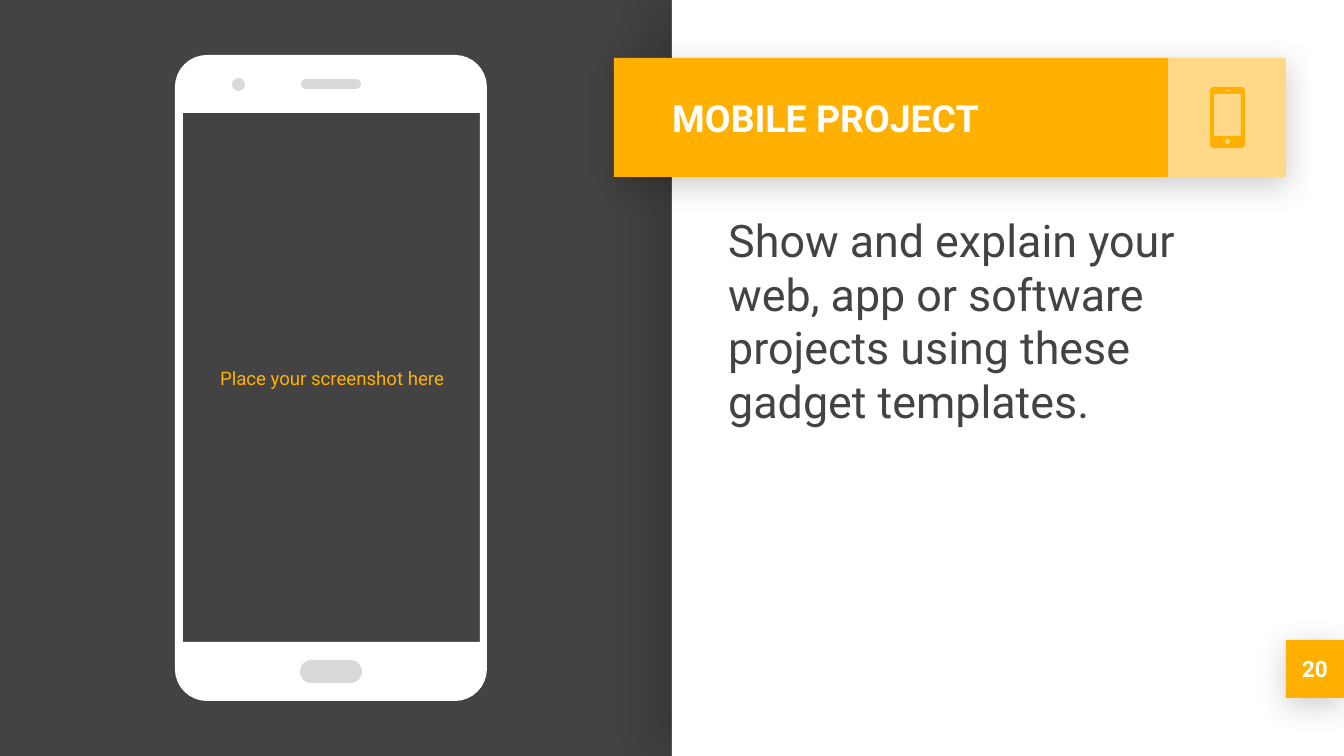
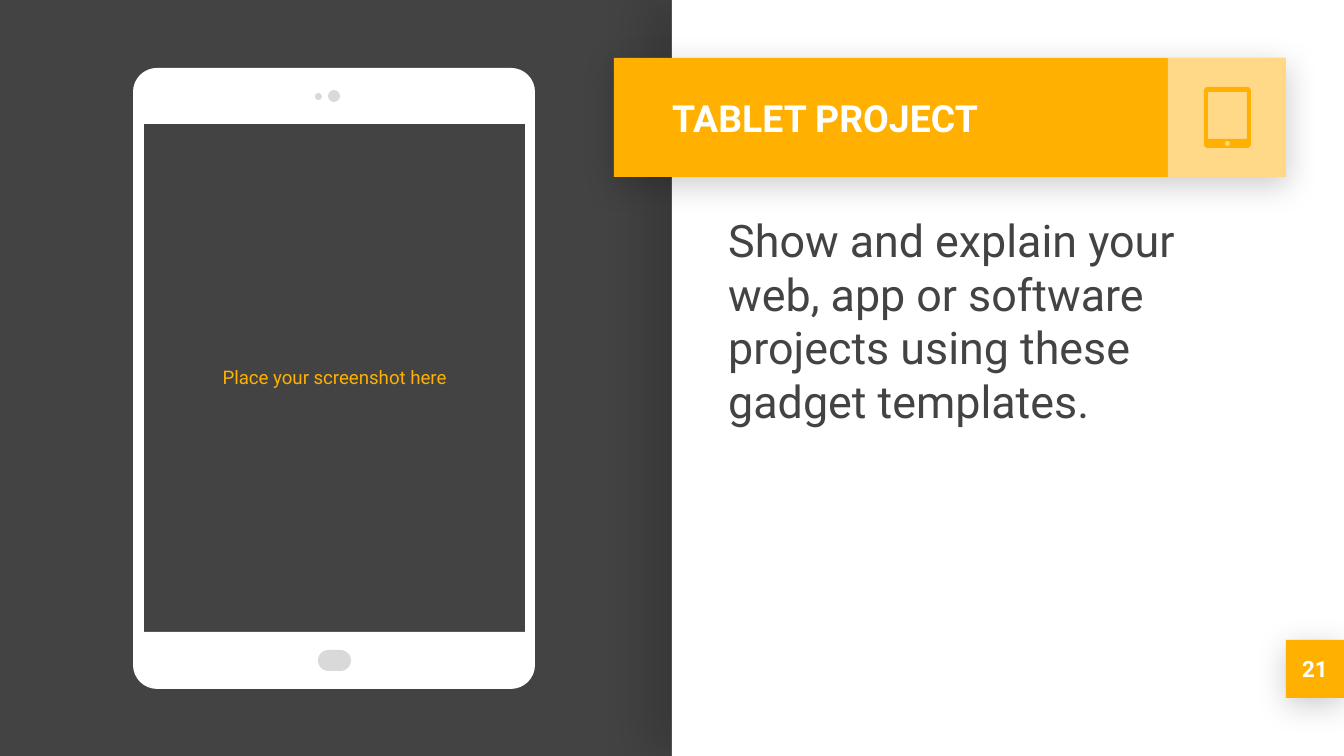
from math import cos, pi, sin

from lxml.etree import SubElement
from pptx import Presentation
from pptx.dml.color import RGBColor
from pptx.enum.shapes import MSO_SHAPE
from pptx.enum.text import MSO_ANCHOR, PP_ALIGN
from pptx.oxml.ns import qn
from pptx.util import Inches, Pt

DARK, WHITE, AMBER, GREY = "434343", "FFFFFF", "FFB000", "D9D9D9"
FONT = "Roboto"
BODY = "Show and explain your web, app or software projects using these gadget templates."
LABEL = "Place your screenshot here"

# Boxes are (left, top, width, height) in px.
PAGE_W, PAGE_H = 1344, 756
PANEL = (672, 0, 672, 756)
BAND = (614, 58, 672, 119)
ICON_TILE = (1168, 58, 118, 119)
TITLE_BOX = (659, 58, 508, 119)
BODY_BOX = (715, 199, 555, 431)
NUMBER_BOX = (1286, 640, 58, 58)

# Shadows: opacity %, blur pt, distance pt, direction in degrees.
PANEL_SHADOW = (15, 22.5, 15, 180)
BAND_SHADOW = (20, 16.9, 3.8, 90)

# Outlines are (box, corner radius); the first is the body, the others are holes.
SLIDES = [
    {
        "title": "MOBILE PROJECT",
        "number": "20",
        "device": [((175, 55, 312, 646), 32), ((183, 113, 297, 529), 0)],
        "buttons": [(300, 660, 62, 23), (232, 78, 13, 13), (301, 79, 60, 10)],
        "label_box": (184, 116, 296, 525),
        "icon": [((1210, 87, 35, 61), 4), ((1214, 94, 27, 42), 0),
                 ((1225, 139, 5, 5), 2.5), ((1225, 90, 5, 1), 0.5)],
    },
    {
        "title": "TABLET PROJECT",
        "number": "21",
        "device": [((133, 68, 402, 621), 24), ((144, 124, 381, 508), 0)],
        "buttons": [(318, 650, 33, 21), (315, 93, 7, 7), (328, 90, 12, 12)],
        "label_box": (145, 125, 379, 505),
        "icon": [((1204, 87, 47, 61), 4), ((1208, 92, 39, 47), 0),
                 ((1225, 141, 5, 5), 2.5)],
    },
]


def px(n):
    return round(n * 914400 / 134.4)


def rgb(color):
    return RGBColor.from_string(color)


def paint(sp, color):
    sp.fill.solid()
    sp.fill.fore_color.rgb = rgb(color)
    sp.line.fill.background()
    sp.shadow.inherit = False
    return sp


def add_box(shapes, box, color, kind=MSO_SHAPE.RECTANGLE):
    return paint(shapes.add_shape(kind, *map(px, box)), color)


def add_shadow(sp, opacity, blur, distance, degrees):
    effects = sp.element.spPr.find(qn("a:effectLst"))
    shadow = SubElement(effects, qn("a:outerShdw"), blurRad=str(Pt(blur)),
                        dist=str(Pt(distance)), dir=str(degrees * 60000),
                        algn="bl", rotWithShape="0")
    black = SubElement(shadow, qn("a:srgbClr"), val="000000")
    SubElement(black, qn("a:alpha"), val=str(opacity * 1000))


def set_opacity(sp, percent):
    color = sp.element.spPr.find(qn("a:solidFill"))[0]
    SubElement(color, qn("a:alpha"), val=str(percent * 1000))


def set_text(sp, text, size, color, bold=False, align=PP_ALIGN.LEFT,
             anchor=MSO_ANCHOR.MIDDLE):
    tf = sp.text_frame
    tf.word_wrap = True
    tf.vertical_anchor = anchor
    tf.margin_left = tf.margin_right = tf.margin_top = tf.margin_bottom = Inches(0.1)
    p = tf.paragraphs[0]
    p.text = text
    p.alignment = align
    p.font.name = FONT
    p.font.size = Pt(size)
    p.font.bold = bold
    p.font.color.rgb = rgb(color)
    return p


def add_text(s, box, *args, **kwargs):
    return set_text(s.shapes.add_textbox(*map(px, box)), *args, **kwargs)


def rounded_contour(box, radius, steps=8):
    """Return the clockwise points of a box with rounded corners, in EMU."""
    left, top, w, h = box
    if not radius:
        steps = 0
    x0, x1 = left + radius, left + w - radius
    y0, y1 = top + radius, top + h - radius
    points = []
    for corner, (x, y) in enumerate([(x0, y0), (x1, y0), (x1, y1), (x0, y1)]):
        for i in range(steps + 1):
            angle = pi + (corner + i / max(steps, 1)) * pi / 2
            points.append((px(x + radius * cos(angle)), px(y + radius * sin(angle))))
    return points


def add_outline(shapes, outlines, color):
    """Draw the first outline with the others cut out of it."""
    body, *holes = [rounded_contour(*outline) for outline in outlines]
    builder = shapes.build_freeform(*body[0])
    builder.add_line_segments(body[1:], close=True)
    for hole in holes:
        start, *rest = hole[::-1]
        builder.move_to(*start)
        builder.add_line_segments(rest, close=True)
    return paint(builder.convert_to_shape(), color)


def add_frame(s, number):
    """Draw the parts shared by all slides."""
    s.background.fill.solid()
    s.background.fill.fore_color.rgb = rgb(DARK)
    add_shadow(add_box(s.shapes, PANEL, WHITE), *PANEL_SHADOW)
    number_box = add_box(s.shapes, NUMBER_BOX, AMBER)
    add_shadow(number_box, *BAND_SHADOW)
    set_text(number_box, number, 12, WHITE, bold=True, align=PP_ALIGN.CENTER)
    add_shadow(add_box(s.shapes, BAND, AMBER), *BAND_SHADOW)
    set_opacity(add_box(s.shapes, ICON_TILE, WHITE), 53)


def add_device(s, device, buttons):
    shapes = s.shapes.add_group_shape().shapes
    add_outline(shapes, device, WHITE)
    for box in buttons:
        button = add_box(shapes, box, GREY, MSO_SHAPE.ROUNDED_RECTANGLE)
        button.adjustments[0] = 0.5


def main():
    prs = Presentation()
    prs.slide_width, prs.slide_height = px(PAGE_W), px(PAGE_H)
    for content in SLIDES:
        s = prs.slides.add_slide(prs.slide_layouts[6])
        add_frame(s, content["number"])
        p = add_text(s, BODY_BOX, BODY, 24, DARK, anchor=MSO_ANCHOR.TOP)
        p.space_before = Pt(6)
        add_device(s, content["device"], content["buttons"])
        add_text(s, TITLE_BOX, content["title"], 20, WHITE, bold=True)
        add_outline(s.shapes, content["icon"], AMBER)
        add_text(s, content["label_box"], LABEL, 10, AMBER, align=PP_ALIGN.CENTER)
    prs.save("out.pptx")


if __name__ == "__main__":
    main()
